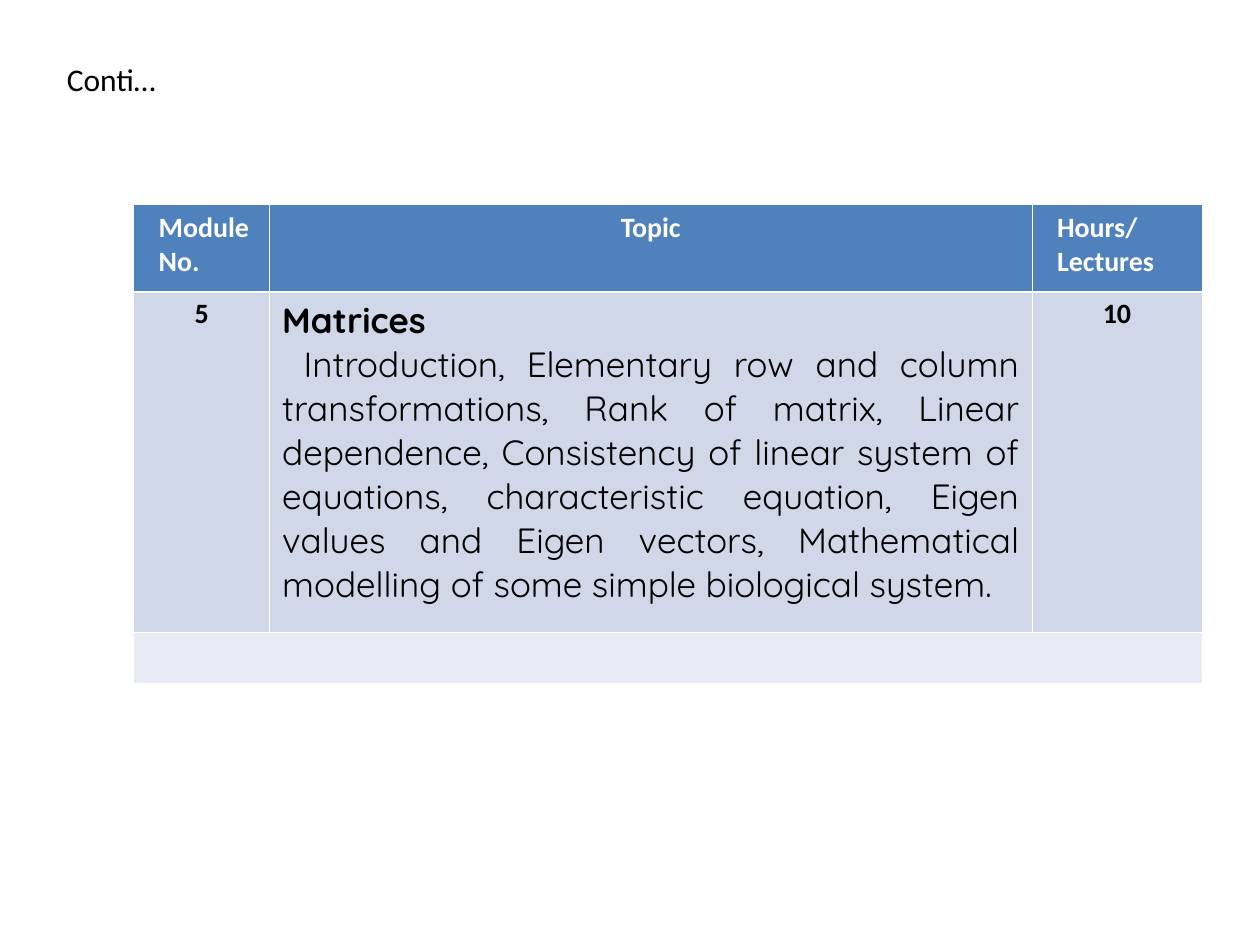
from dataclasses import dataclass

from pptx import Presentation
from pptx.dml.color import RGBColor
from pptx.enum.text import MSO_ANCHOR as Anchor, PP_ALIGN as Align
from pptx.oxml.ns import qn
from pptx.oxml.xmlchemy import OxmlElement as Element
from pptx.table import Table, _Cell as Cell
from pptx.util import Inches, Pt

WHITE = RGBColor(0xFF, 0xFF, 0xFF)
BLACK = RGBColor(0, 0, 0)
BLUE = RGBColor(0x4F, 0x81, 0xBC)
PALE = RGBColor(0xD0, 0xD7, 0xE8)
LIGHT = RGBColor(0xE9, 0xEC, 0xF4)

COLS, ROWS = 100, 75
WIDTH, HEIGHT = Inches(10), Inches(7.5)
WIDE = (10.8, 60.5, 13.5)
TALL = (7, 27, 4)
FILLS = (BLUE, PALE, LIGHT)
THIN, THICK = Pt(0.45), Pt(1.47)

TOPICS = (
    "Introduction, Elementary row and column transformations, Rank of matrix, "
    "Linear dependence, Consistency of linear system of equations, "
    "characteristic equation, Eigen values and Eigen vectors, "
    "Mathematical modelling of some simple biological system."
)


@dataclass
class Entry:
    row: int
    col: int
    text: str
    align: Align = Align.CENTER
    color: RGBColor = BLACK
    size: int = 16
    face: str = "Calibri"
    inset: float = 0
    pitch: float | None = None


ENTRIES = (
    Entry(0, 0, "Module\nNo.", Align.LEFT, WHITE, inset=0.1),
    Entry(0, 1, "Topic", color=WHITE),
    Entry(0, 2, "Hours/\nLectures", Align.LEFT, WHITE, inset=0.1),
    Entry(1, 0, "5", pitch=18.6),
    Entry(1, 1, f"Matrices\n{TOPICS}", Align.JUSTIFY, size=20, face="Quicksand"),
    Entry(1, 2, "10", pitch=18.6),
)


def across(cols: float) -> int:
    return round(WIDTH * cols / COLS)


def down(rows: float) -> int:
    return round(HEIGHT * rows / ROWS)


def edge(cell: Cell, side: str, width: int) -> None:
    """Draw a white border on one side of the cell."""
    line = Element(f"a:ln{side}")
    line.set("w", str(int(width)))
    fill = Element("a:solidFill")
    color = Element("a:srgbClr")
    color.set("val", str(WHITE))
    fill.append(color)
    line.append(fill)
    cell._tc.get_or_add_tcPr().append(line)


def frame(table: Table) -> None:
    """Give every cell its borders and the fill of its row."""
    for row, fill in enumerate(FILLS):
        for cell in table.rows[row].cells:
            for side in "LRTB":
                bold = (row, side) in ((0, "B"), (1, "T"))
                edge(cell, side, THICK if bold else THIN)
            cell.fill.solid()
            cell.fill.fore_color.rgb = fill


def write(table: Table, entry: Entry) -> None:
    box = table.cell(entry.row, entry.col).text_frame
    box.text = entry.text
    for para in box.paragraphs:
        para.alignment = entry.align
        if entry.inset:
            para._p.get_or_add_pPr().set("marL", str(Inches(entry.inset)))
        if entry.pitch:
            para.line_spacing = Pt(entry.pitch)
        for run in para.runs:
            font = run.font
            font.name, font.size = entry.face, Pt(entry.size)
            font.bold = run.text != TOPICS
            font.color.rgb = entry.color
            if run.text == TOPICS:
                para._p.get_or_add_pPr().set("indent", str(Inches(0.17)))


def main() -> None:
    deck = Presentation()
    deck.slide_width, deck.slide_height = WIDTH, HEIGHT
    slide = deck.slides.add_slide(deck.slide_layouts[5])

    grid = slide.shapes.add_table(
        len(TALL), len(WIDE), across(10.6), down(16.2),
        across(sum(WIDE)), down(sum(TALL)),
    )
    table = grid.table
    for col, wide in zip(table.columns, WIDE):
        col.width = across(wide)
    for row, tall in zip(table.rows, TALL):
        row.height = down(tall)
    frame(table)
    for entry in ENTRIES:
        write(table, entry)
    table.cell(2, 0).merge(table.cell(2, 2))

    title = slide.shapes.title
    title.left, title.top = across(5.3), down(4.8)
    title.width, title.height = across(7.5), down(3.1)
    box = title.text_frame
    box.text = "Conti…"
    box.margin_left = box.margin_right = box.margin_top = box.margin_bottom = 0
    box.vertical_anchor = Anchor.TOP
    box.word_wrap = False
    para = box.paragraphs[0]
    para.alignment = Align.LEFT
    font = para.runs[0].font
    font.name, font.size, font.color.rgb = "Calibri", Pt(18), BLACK

    deck.save("out.pptx")


if __name__ == "__main__":
    main()
